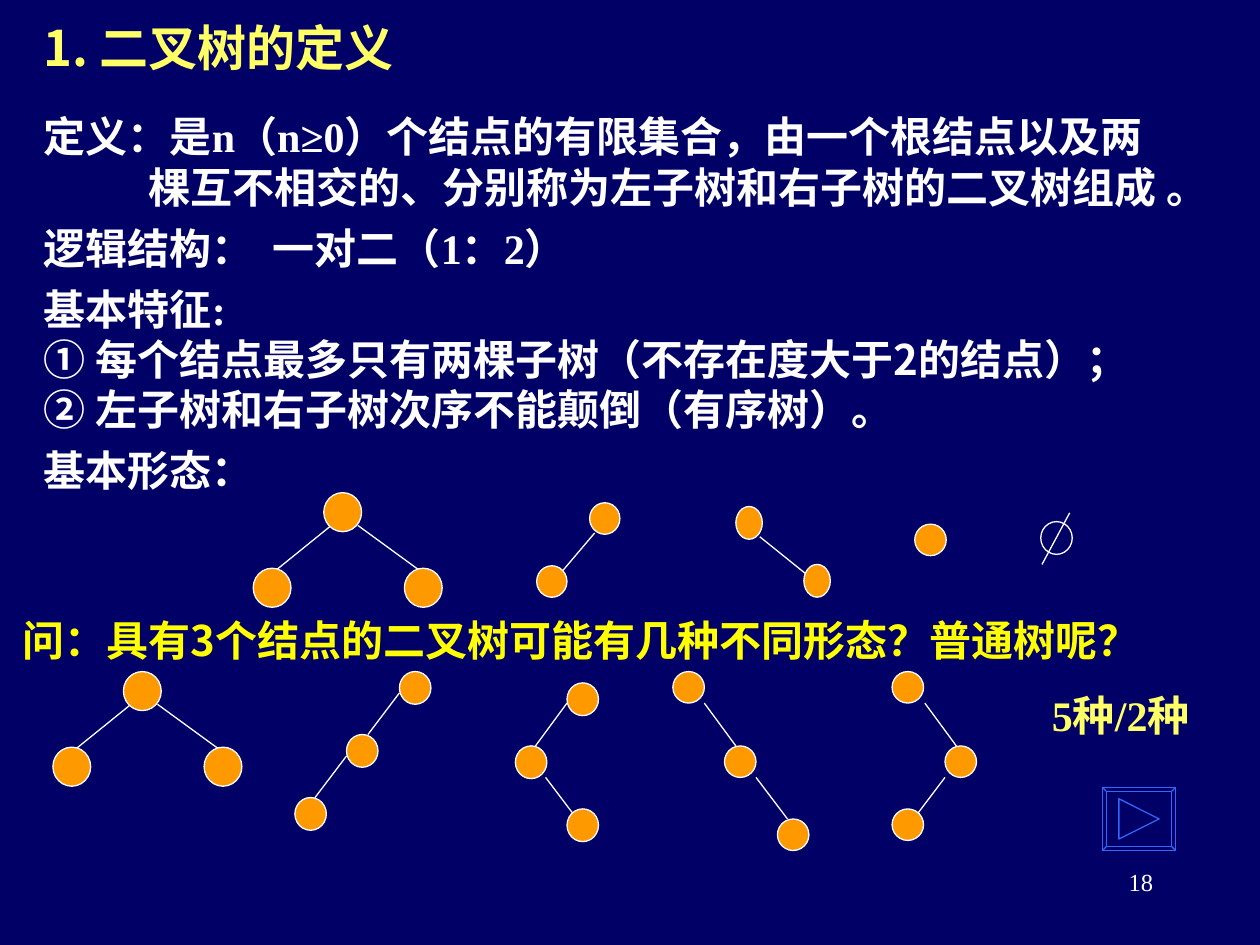
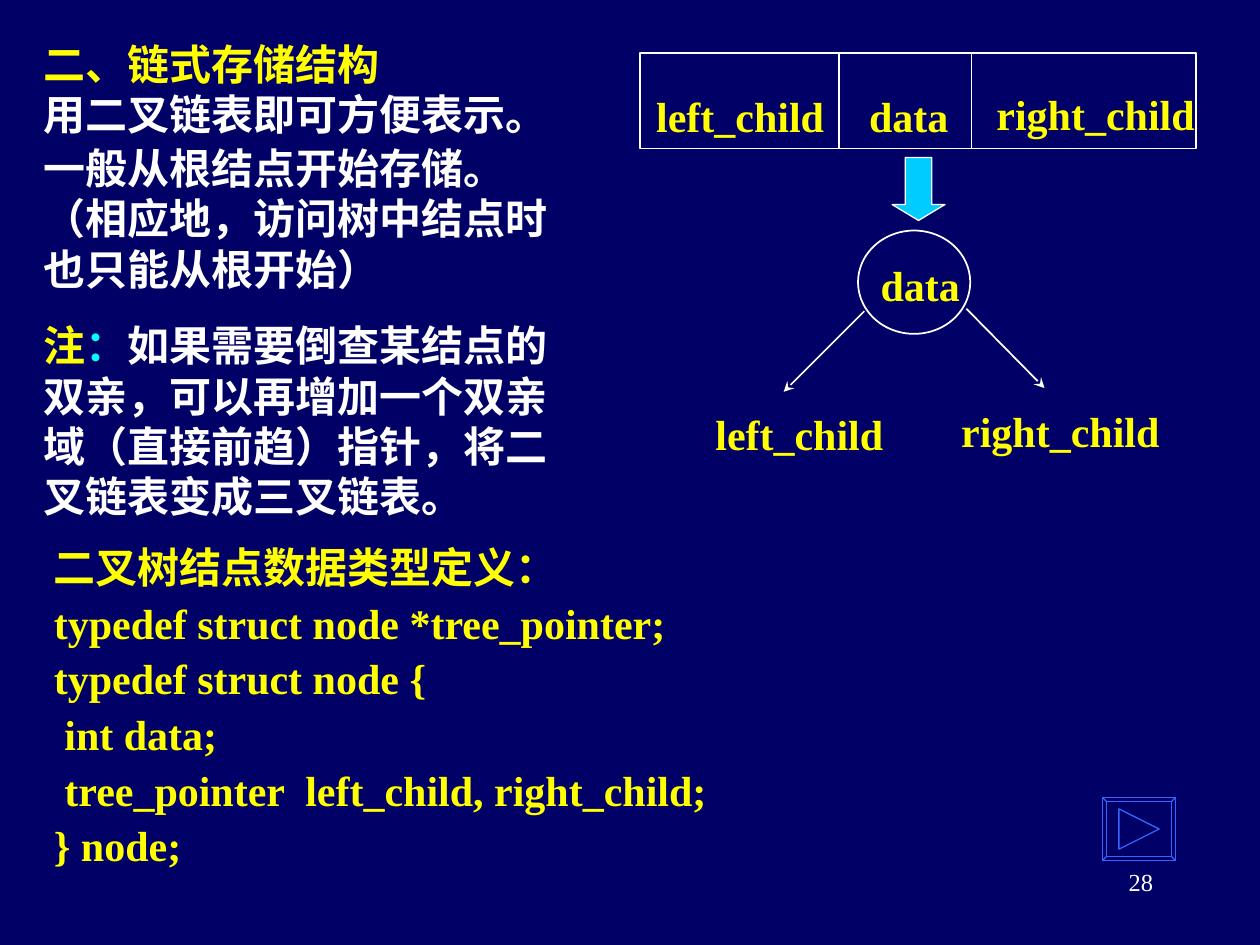
from dataclasses import dataclass
from typing import NamedTuple

from lxml import etree
from pptx import Presentation
from pptx import util as u
from pptx.dml.color import RGBColor
from pptx.enum import shapes, text
from pptx.oxml import ns

COLORS = {
    "navy": "000066", "white": "FFFFFF", "yellow": "FFFF00", "pale": "FFFF66",
    "cyan": "00FFFF", "sky": "00CCFF", "orange": "FF9900", "blue": "3366FF",
}
SERIF = "Times New Roman"
SANS = "Noto Sans CJK SC"
MONO = "Courier New"
LINE_FACTOR = 1.2


class Run(NamedTuple):
    content: str
    font: str = SERIF
    color: str = "white"
    size: int = 24
    bold: bool = True


class Para(NamedTuple):
    runs: list[Run]
    before: int = 0
    hanging: float = 0


@dataclass
class Box:
    left: float
    top: float
    width: float
    height: float
    paras: list[Para]
    wrap: bool = True
    anchor: text.MSO_ANCHOR = text.MSO_ANCHOR.TOP
    align: text.PP_ALIGN = text.PP_ALIGN.LEFT


@dataclass
class Tree:
    left: float
    top: float
    nodes: list[tuple[float, float]]
    edges: list[tuple[float, float, float, float]]
    node_width: float = 0.25
    node_height: float = 0.25


def rgb(name: str) -> RGBColor:
    return RGBColor.from_string(COLORS[name])


def apply(target, values: dict) -> None:
    for name, value in values.items():
        setattr(target, name, value)


def add_text(slide, box: Box) -> None:
    shape = slide.shapes.add_textbox(*map(u.Inches, (box.left, box.top, box.width, box.height)))
    frame = shape.text_frame
    apply(frame, {"word_wrap": box.wrap, "vertical_anchor": box.anchor})
    for index, para in enumerate(box.paras):
        paragraph = frame.add_paragraph() if index else frame.paragraphs[0]
        apply(paragraph, {
            "alignment": box.align,
            "space_before": u.Pt(para.before),
            "line_spacing": u.Pt(para.runs[0].size * LINE_FACTOR),
        })
        if para.hanging:
            properties = paragraph._p.get_or_add_pPr()
            properties.set("marL", str(u.Inches(para.hanging)))
            properties.set("indent", str(-u.Inches(para.hanging)))
        for item in para.runs:
            for number, line in enumerate(item.content.split("\n")):
                if number:
                    paragraph.add_line_break()
                if line:
                    run = paragraph.add_run()
                    run.text = line
                    apply(run.font, {"name": item.font, "size": u.Pt(item.size), "bold": item.bold})
                    run.font.color.rgb = rgb(item.color)
                    east_asian = etree.SubElement(run._r.get_or_add_rPr(), ns.qn("a:ea"))
                    east_asian.set("typeface", SANS)


def style_shape(shape, fill: str | None, line: str, weight: float) -> None:
    shape.shadow.inherit = False
    if fill:
        shape.fill.solid()
        shape.fill.fore_color.rgb = rgb(fill)
    else:
        shape.fill.background()
    shape.line.color.rgb = rgb(line)
    shape.line.width = u.Pt(weight)


def add_preset(slide, kind, left: float, top: float, width: float, height: float,
               fill: str | None = None, weight: float = 0.75):
    shape = slide.shapes.add_shape(kind, *map(u.Inches, (left, top, width, height)))
    style_shape(shape, fill, "white", weight)
    return shape


def add_line(slide, start_x: float, start_y: float, end_x: float, end_y: float,
             weight: float = 0.75, arrow: bool = False) -> None:
    connector = slide.shapes.add_connector(
        shapes.MSO_CONNECTOR.STRAIGHT, *map(u.Inches, (start_x, start_y, end_x, end_y)))
    connector.line.color.rgb = rgb("white")
    connector.line.width = u.Pt(weight)
    if arrow:
        etree.SubElement(connector.line._get_or_add_ln(), ns.qn("a:tailEnd")).set("type", "stealth")
    etree.SubElement(connector._element.spPr, ns.qn("a:effectLst"))


def add_tree(slide, tree: Tree) -> None:
    for x1, y1, x2, y2 in tree.edges:
        add_line(slide, tree.left + x1, tree.top + y1, tree.left + x2, tree.top + y2)
    for x, y in tree.nodes:
        add_preset(slide, shapes.MSO_SHAPE.OVAL, tree.left + x, tree.top + y,
                   tree.node_width, tree.node_height, "orange")


def add_next_button(slide, top: float) -> None:
    left, width, height, bevel = 8.75, 0.58, 0.5, 0.03
    right, bottom = left + width, top + height
    outer = [(left, top), (right, top), (right, bottom), (left, bottom)]
    inner = [(left + bevel, top + bevel), (right - bevel, top + bevel),
             (right - bevel, bottom - bevel), (left + bevel, bottom - bevel)]
    triangle = [(left + 0.13, top + 0.09), (left + 0.45, top + 0.25), (left + 0.13, top + 0.41)]
    contours = [(outer, True), (inner, True), (triangle, True)]
    contours += [(list(corner), False) for corner in zip(outer, inner)]
    builder = slide.shapes.build_freeform(u.Inches(left), u.Inches(top))
    for points, closed in contours:
        first, *rest = [(u.Inches(x), u.Inches(y)) for x, y in points]
        builder.move_to(*first)
        builder.add_line_segments(rest, close=closed)
    style_shape(builder.convert_to_shape(), None, "blue", 0.75)


def add_base_slide(presentation, number: str, title: list[Run], title_top: float,
                   title_width: float, button_top: float):
    slide = presentation.slides.add_slide(presentation.slide_layouts[6])
    slide.background.fill.solid()
    slide.background.fill.fore_color.rgb = rgb("navy")
    add_text(slide, Box(7.17, 6.83, 2.08, 0.5, [Para([Run(number, size=14, bold=False)])],
                        align=text.PP_ALIGN.RIGHT))
    add_text(slide, Box(0.25, title_top, title_width, 0.75, [Para(title)],
                        anchor=text.MSO_ANCHOR.MIDDLE))
    add_next_button(slide, button_top)
    return slide


def full_tree(left: float, top: float) -> Tree:
    return Tree(left, top, [(0.56, 0), (0, 0.6), (1.2, 0.6)],
                [(0.62, 0.26, 0.15, 0.64), (0.83, 0.26, 1.31, 0.61)], 0.3, 0.31)


def build_definition_slide(presentation) -> None:
    slide = add_base_slide(presentation, "18", [Run("1. 二叉树的定义", SANS, "pale", 28)],
                           0, 3.92, 6.25)
    body = [
        ("定义：是n（n≥0）个结点的有限集合，由一个根结点以及两棵互不相交的、分别称为左子树和右子树的二叉树组成 。",
         SERIF, 15),
        ("逻辑结构：  一对二（1：2）", SERIF, 6),
        ("基本特征:", SERIF, 6),
        ("① 每个结点最多只有两棵子树（不存在度大于2的结点）；", SANS, 0),
        ("② 左子树和右子树次序不能颠倒（有序树）。", SANS, 0),
        ("基本形态：", SERIF, 6),
    ]
    add_text(slide, Box(0.25, 0.83, 9.17, 3.55, [
        Para([Run(content, font)], before, 0.83) for content, font, before in body]))
    add_text(slide, Box(0.08, 4.83, 9.08, 0.9, [
        Para([Run("问：具有3个结点的二叉树可能有几种不同形态？普通树呢？", SANS, "yellow")], 6)]))
    add_text(slide, Box(8.25, 5.42, 1.42, 0.9, [Para([Run("5种/2种", color="pale")], 6)]))

    basic_forms = [
        full_tree(2.01, 3.91),
        Tree(4.26, 3.99, [(0.42, 0), (0, 0.5)], [(0.46, 0.24, 0.18, 0.57)], 0.24),
        Tree(5.84, 4.02, [(0, 0), (0.54, 0.46)], [(0.19, 0.24, 0.6, 0.57)], 0.21, 0.26),
        Tree(7.26, 4.16, [(0, 0)], []),
    ]
    three_node_forms = [
        full_tree(0.42, 5.33),
        Tree(2.34, 5.33, [(0.83, 0), (0.41, 0.5), (0, 1)],
             [(0.83, 0.17, 0.58, 0.5), (0.41, 0.67, 0.16, 1)], node_height=0.26),
        Tree(4.09, 5.42, [(0.41, 0), (0, 0.5), (0.41, 1)],
             [(0.41, 0.16, 0.16, 0.5), (0.24, 0.75, 0.49, 1.08)], node_height=0.26),
        Tree(5.34, 5.33, [(0, 0), (0.41, 0.59), (0.83, 1.17)],
             [(0.25, 0.25, 0.5, 0.59), (0.66, 0.84, 0.91, 1.17)]),
        Tree(7.08, 5.33, [(0, 0), (0.42, 0.59), (0, 1.09)],
             [(0.26, 0.25, 0.51, 0.59), (0.42, 0.84, 0.17, 1.17)]),
    ]
    for tree in basic_forms + three_node_forms:
        add_tree(slide, tree)
    add_preset(slide, shapes.MSO_SHAPE.OVAL, 8.26, 4.14, 0.25, 0.26)
    add_line(slide, 8.49, 4.07, 8.27, 4.48)


def build_linked_storage_slide(presentation) -> None:
    title = [Run("二、链式存储结构\n", color="yellow"), Run("用二叉链表即可方便表示。", SANS)]
    slide = add_base_slide(presentation, "28", title, 0.33, 5.25, 6.33)
    add_text(slide, Box(0.25, 1.08, 4.5, 3.11, [
        Para([Run("一般从根结点开始存储。\n（相应地，访问树中结点时也只能从根开始）", SANS)], 15),
        Para([
            Run("注", SANS, "yellow"),
            Run("：", SANS, "cyan"),
            Run("如果需要倒查某结点的双亲，可以再增加一个双亲域（直接前趋）指针，将二叉链表变成三叉链表。", SANS),
        ], 15),
    ]))
    code = [
        "typedef struct node *tree_pointer;",
        "typedef struct node {",
        " int data;",
        " tree_pointer  left_child, right_child;",
        "} node;",
    ]
    add_text(slide, Box(0.33, 4.25, 6, 2.83, [
        Para([Run("二叉树结点数据类型定义：", MONO, "yellow")]),
        *(Para([Run(line, color="yellow")], 3) for line in code),
    ]))

    add_preset(slide, shapes.MSO_SHAPE.RECTANGLE, 5.08, 0.42, 4.41, 0.76, weight=1)
    for divider in (6.66, 7.71):
        add_line(slide, divider, 0.43, divider, 1.18, 1)
    arrow = add_preset(slide, shapes.MSO_SHAPE.DOWN_ARROW, 7.08, 1.25, 0.42, 0.5, "sky")
    arrow.adjustments[0] = 0.5
    arrow.adjustments[1] = 0.3
    add_preset(slide, shapes.MSO_SHAPE.OVAL, 6.81, 1.83, 0.89, 0.82, weight=1)
    add_line(slide, 6.86, 2.47, 6.22, 3.11, 1, True)
    add_line(slide, 7.67, 2.45, 8.29, 3.08, 1, True)

    label_widths = {"left_child": 1.54, "data": 0.83, "right_child": 1.78}
    labels = [
        ("left_child", 5.11, 0.67), ("data", 6.8, 0.67), ("right_child", 7.81, 0.65),
        ("data", 6.89, 2.01), ("left_child", 5.58, 3.19), ("right_child", 7.53, 3.17),
    ]
    for name, left, top in labels:
        add_text(slide, Box(left, top, label_widths[name], 0.5,
                            [Para([Run(name, color="yellow")])], wrap=False))


def main() -> None:
    presentation = Presentation()
    apply(presentation, {"slide_width": u.Inches(10), "slide_height": u.Inches(7.5)})
    build_definition_slide(presentation)
    build_linked_storage_slide(presentation)
    presentation.save("out.pptx")


if __name__ == "__main__":
    main()
